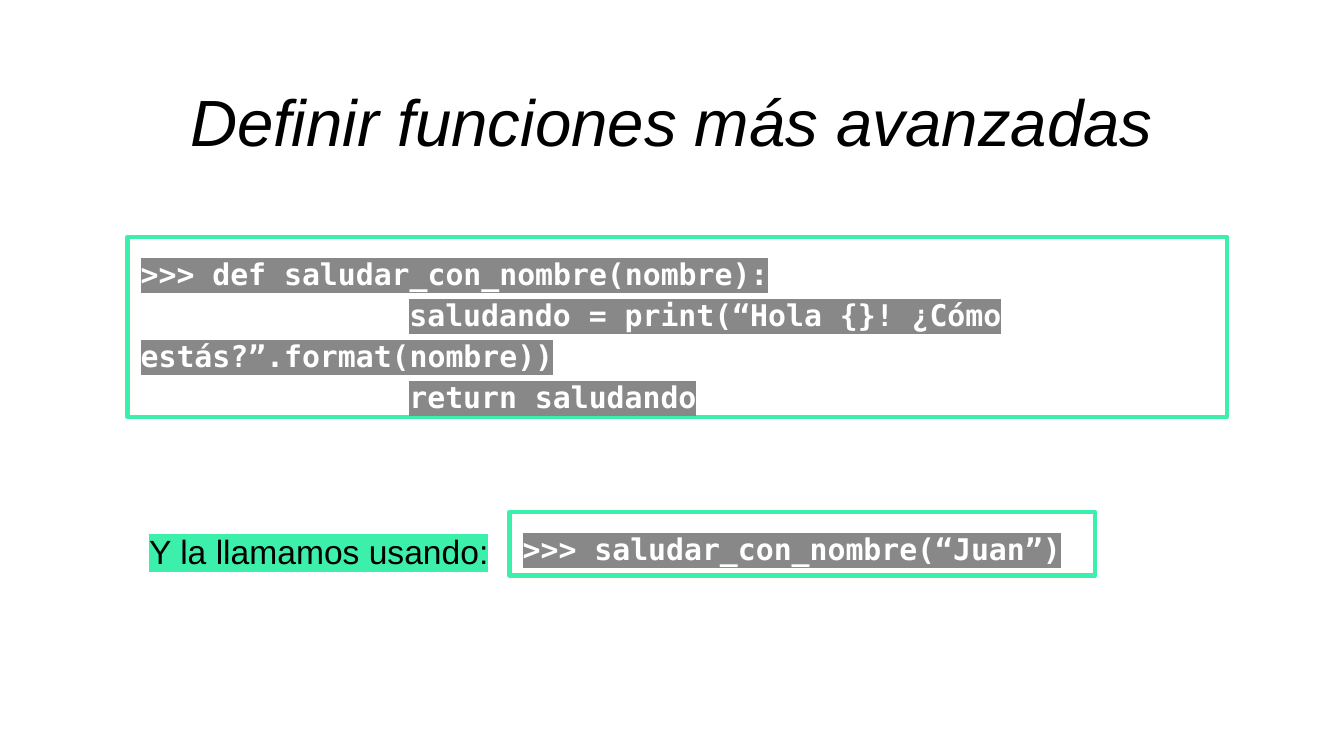
from dataclasses import dataclass

from lxml.etree import SubElement
from pptx import Presentation
from pptx.dml.color import RGBColor
from pptx.enum.shapes import MSO_SHAPE
from pptx.enum.text import MSO_ANCHOR as Anchor, MSO_AUTO_SIZE as AutoSize, PP_ALIGN as Align
from pptx.oxml import parse_xml
from pptx.oxml.ns import nsdecls, qn
from pptx.util import Cm, Pt


@dataclass(frozen=True)
class TextStyle:
    font: dict
    color: str
    highlight: str = ""
    align: Align = Align.LEFT
    line_spacing: float = 1.15


@dataclass(frozen=True)
class Theme:
    accent: str = "3CEFAB"
    border: float = 2.25
    inset: float = 0.25
    tab: float = 2.54
    title: TextStyle = TextStyle(
        dict(name="Arial", size=Pt(35), italic=True, bold=False), "000000",
        align=Align.CENTER, line_spacing=1.0)
    label: TextStyle = TextStyle(
        dict(name="Arial", size=Pt(18)), "000000", highlight=accent)
    code: TextStyle = TextStyle(
        dict(name="DejaVu Sans Mono", size=Pt(16), bold=True), "FFFFFF", highlight="888888")


THEME = Theme()

DEFINITION = [
    ">>> def saludar_con_nombre(nombre):",
    "\t\tsaludando = print(“Hola {}! ¿Cómo estás?”.format(nombre))",
    "\t\treturn saludando",
]
CALL = [">>> saludar_con_nombre(“Juan”)"]


def set_values(target, values):
    for name, value in values.items():
        setattr(target, name, value)


def add_tab_stops(paragraph, count):
    """Put evenly spaced left tab stops on the paragraph."""
    tab_list = SubElement(paragraph._p.get_or_add_pPr(), qn("a:tabLst"))
    for number in range(1, count + 1):
        SubElement(tab_list, qn("a:tab"), pos=str(Cm(THEME.tab * number)), algn="l")


def highlight_run(run, color):
    highlight = parse_xml(
        f'<a:highlight {nsdecls("a")}><a:srgbClr val="{color}"/></a:highlight>')
    run._r.get_or_add_rPr().find(qn("a:solidFill")).addnext(highlight)


def write_text(shape, lines, style, anchor=Anchor.TOP):
    frame = shape.text_frame
    margins = ("margin_left", "margin_top", "margin_right", "margin_bottom")
    set_values(frame, dict.fromkeys(margins, Cm(THEME.inset)))
    set_values(frame, dict(word_wrap=True, auto_size=AutoSize.NONE, vertical_anchor=anchor))
    for index, line in enumerate(lines):
        paragraph = frame.paragraphs[0] if index == 0 else frame.add_paragraph()
        set_values(paragraph, dict(alignment=style.align, line_spacing=style.line_spacing))
        if "\t" in line:
            add_tab_stops(paragraph, line.count("\t"))
        run = paragraph.add_run()
        run.text = line
        set_values(run.font, style.font)
        run.font.color.rgb = RGBColor.from_string(style.color)
        if style.highlight:
            highlight_run(run, style.highlight)


def place_title(slide, text, left, top, width, height):
    title = slide.shapes.title
    set_values(title, dict(left=Cm(left), top=Cm(top), width=Cm(width), height=Cm(height)))
    write_text(title, [text], THEME.title, Anchor.MIDDLE)


def add_label(slide, text, left, top, width, height):
    label = slide.shapes.add_textbox(Cm(left), Cm(top), Cm(width), Cm(height))
    write_text(label, [text], THEME.label)


def add_code_box(slide, lines, left, top, width, height):
    box = slide.shapes.add_shape(
        MSO_SHAPE.RECTANGLE, Cm(left), Cm(top), Cm(width), Cm(height))
    box.shadow.inherit = False
    box.fill.background()
    box.line.color.rgb = RGBColor.from_string(THEME.accent)
    box.line.width = Pt(THEME.border)
    SubElement(box.line._get_or_add_ln(), qn("a:round"))
    write_text(box, lines, THEME.code)


def main():
    presentation = Presentation()
    set_values(presentation, dict(slide_width=Cm(25.4), slide_height=Cm(14.29)))
    slide = presentation.slides.add_slide(presentation.slide_layouts.get_by_name("Title Only"))

    place_title(slide, "Definir funciones más avanzadas", 2.95, 0.91, 19.5, 2.74)
    add_code_box(slide, DEFINITION, 2.41, 4.48, 20.78, 3.4)
    call_top = 9.68
    add_label(slide, "Y la llamamos usando:", 2.57, call_top, 8.33, 1.27)
    add_code_box(slide, CALL, 9.63, call_top, 11.07, 1.2)

    presentation.save("out.pptx")


if __name__ == "__main__":
    main()
